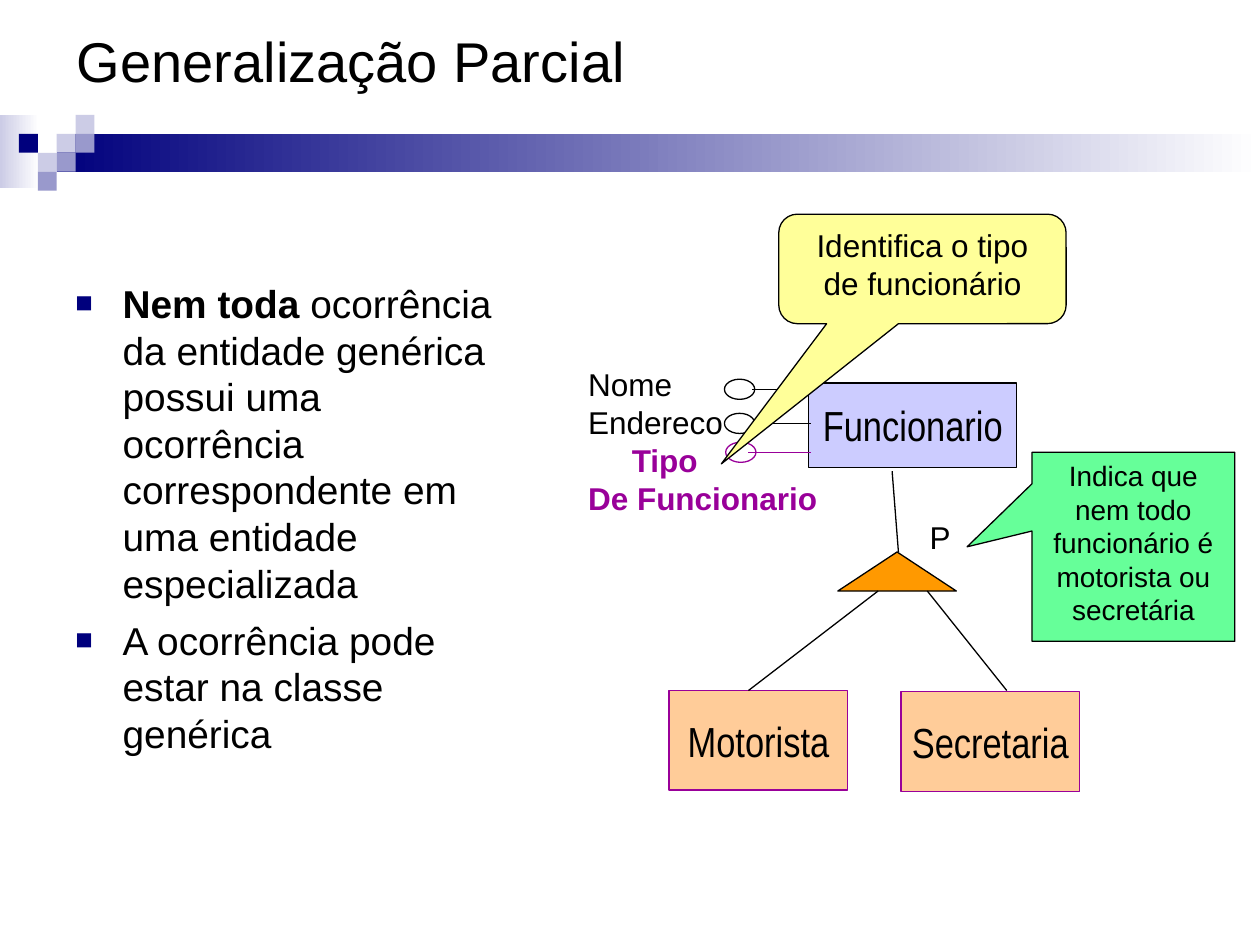
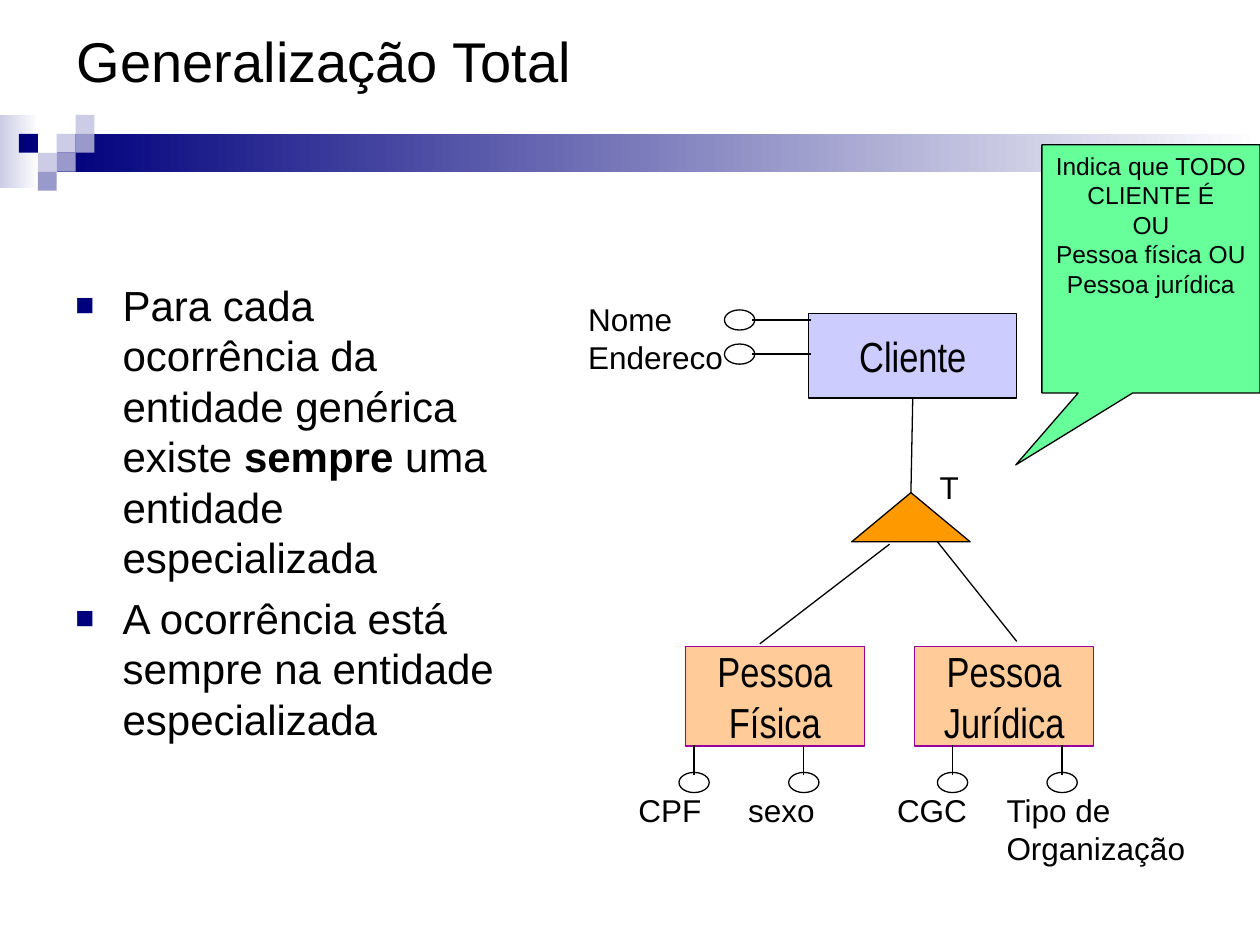
from dataclasses import dataclass
from typing import NamedTuple, Optional, Union

from lxml.etree import SubElement
from pptx import Presentation
from pptx.dml.color import RGBColor
from pptx.enum.shapes import MSO_CONNECTOR, MSO_SHAPE as Preset
from pptx.enum.text import MSO_ANCHOR as Anchor, PP_ALIGN as Align
from pptx.oxml.ns import qn
from pptx.util import Pt

BLACK = RGBColor(0x00, 0x00, 0x00)
WHITE = RGBColor(0xFF, 0xFF, 0xFF)
NAVY = RGBColor(0x00, 0x00, 0x7D)
MIST = RGBColor(0xCC, 0xCC, 0xE6)
PERIWINKLE = RGBColor(0x99, 0x99, 0xCC)
LAVENDER = RGBColor(0xCC, 0xCC, 0xFF)
PEACH = RGBColor(0xFF, 0xCC, 0x99)
ORANGE = RGBColor(0xFF, 0x99, 0x00)
GREEN = RGBColor(0x66, 0xFF, 0x99)
YELLOW = RGBColor(0xFF, 0xFF, 0x99)
PURPLE = RGBColor(0x99, 0x00, 0x99)

TEXT_FONT = "Arial"
ENTITY_FONT = "Arial Narrow"
TITLE_ONLY = 5
BULLET_INDENT = 27
OVAL_WIDTH, OVAL_HEIGHT = 17.3, 11.5
ENTITY_LEFT = 462.2
SQUARE = 10.8
SQUARES_TOP = 65.7


class Box(NamedTuple):
    left: float
    top: float
    width: float
    height: float


class Point(NamedTuple):
    x: float
    y: float


class Span(NamedTuple):
    text: str
    bold: bool = False
    color: RGBColor = BLACK


class Square(NamedTuple):
    column: int
    row: int
    color: RGBColor


Paragraph = Union[str, tuple[Span, ...]]


@dataclass(frozen=True)
class Callout:
    preset: Preset
    box: Box
    fill: RGBColor
    size: float
    paragraphs: list[Paragraph]
    adjustments: tuple[float, ...]


@dataclass(frozen=True)
class Subclass:
    left: float
    top: float
    paragraphs: list[Paragraph]


@dataclass(frozen=True)
class Attribute:
    oval_left: float
    label_width: float
    paragraphs: list[Paragraph]


SQUARES = [
    Square(3, 1, MIST), Square(4, 0, MIST), Square(4, 1, PERIWINKLE),
    Square(2, 2, MIST), Square(1, 1, NAVY), Square(3, 2, PERIWINKLE),
    Square(2, 3, PERIWINKLE),
]
TITLE_BOX = Box(36.7, 0, 648, 68.4)
BODY_BOX = Box(36, 156.2, 254.9, 306)


def emu(lengths) -> list[int]:
    return [Pt(length) for length in lengths]


def write(shape, paragraphs: list[Paragraph], *, size: float = 18, font: str = TEXT_FONT,
          align: Align = Align.LEFT, anchor: Anchor = Anchor.TOP, wrap: bool = True,
          before: float = 0, bulleted: bool = False) -> None:
    frame = shape.text_frame
    frame.word_wrap = wrap
    frame.vertical_anchor = anchor
    frame.margin_left = frame.margin_right = Pt(7.2)
    frame.margin_top = frame.margin_bottom = Pt(3.6)
    for index, content in enumerate(paragraphs):
        paragraph = frame.add_paragraph() if index else frame.paragraphs[0]
        paragraph.alignment = align
        paragraph.space_before = Pt(before)
        spans = (Span(content),) if isinstance(content, str) else content
        for span in spans:
            run = paragraph.add_run()
            run.text = span.text
            run.font.name = font
            run.font.size = Pt(size)
            run.font.bold = span.bold
            run.font.color.rgb = span.color
        if bulleted:
            add_bullet(paragraph)


def indent(paragraph, left: float, first: float = 0):
    properties = paragraph._p.get_or_add_pPr()
    properties.set("marL", str(Pt(left)))
    properties.set("indent", str(Pt(first)))
    return properties


def add_bullet(paragraph) -> None:
    properties = indent(paragraph, BULLET_INDENT, -BULLET_INDENT)
    color = SubElement(properties, qn("a:buClr"))
    SubElement(color, qn("a:srgbClr"), val=str(NAVY))
    SubElement(properties, qn("a:buSzPct"), val="75000")
    SubElement(properties, qn("a:buFont"), typeface=TEXT_FONT)
    SubElement(properties, qn("a:buChar"), char="■")


def draw(slide, preset: Preset, box: Box, fill: Optional[RGBColor] = None,
         outline: Optional[RGBColor] = BLACK):
    shape = slide.shapes.add_shape(preset, *emu(box))
    shape.shadow.inherit = False
    if fill is None:
        shape.fill.background()
    else:
        shape.fill.solid()
        shape.fill.fore_color.rgb = fill
    if outline is None:
        shape.line.fill.background()
    else:
        shape.line.color.rgb = outline
        shape.line.width = Pt(0.75)
    return shape


def draw_line(slide, start: Point, end: Point, color: RGBColor = BLACK):
    line = slide.shapes.add_connector(MSO_CONNECTOR.STRAIGHT, *emu(start + end))
    line.line.color.rgb = color
    line.line.width = Pt(0.75)
    SubElement(line._element.spPr, qn("a:effectLst"))
    return line


def draw_fade(slide, box: Box, color: RGBColor) -> None:
    band = draw(slide, Preset.RECTANGLE, box, WHITE, None)
    band.fill.gradient()
    band.fill.gradient_angle = 0
    for stop, shade in zip(band.fill.gradient_stops, (color, WHITE)):
        stop.color.rgb = shade


def draw_label(slide, box: Box, paragraphs: list[Paragraph]):
    label = slide.shapes.add_textbox(*emu(box))
    write(label, paragraphs)
    return label


def start_slide(deck, title: str, topics: list[Paragraph], size: float):
    slide = deck.slides.add_slide(deck.slide_layouts[TITLE_ONLY])
    draw_fade(slide, Box(0, SQUARES_TOP, 22.3, 41.8), MIST)
    draw_fade(slide, Box(3 * SQUARE, SQUARES_TOP + SQUARE, 687.6, 2 * SQUARE), NAVY)
    for square in SQUARES:
        corner = (square.column * SQUARE, SQUARES_TOP + square.row * SQUARE)
        draw(slide, Preset.RECTANGLE, Box(*corner, SQUARE, SQUARE), square.color, None)
    heading = slide.shapes.title
    heading.left, heading.top, heading.width, heading.height = emu(TITLE_BOX)
    write(heading, [title], size=32, anchor=Anchor.MIDDLE)
    body = slide.shapes.add_textbox(*emu(BODY_BOX))
    write(body, topics, size=size, before=6, bulleted=True)
    return slide


def draw_entity(slide, box: Box, paragraphs: list[Paragraph], fill: RGBColor,
                outline: RGBColor):
    entity = draw(slide, Preset.RECTANGLE, box, fill, outline)
    write(entity, paragraphs, size=24, font=ENTITY_FONT, align=Align.CENTER,
          anchor=Anchor.MIDDLE, wrap=False)
    return entity


def draw_superclass(slide, name: str, top: float):
    entity = draw_entity(slide, Box(ENTITY_LEFT, top, 118.8, 48.2), [name], LAVENDER, BLACK)
    for offset in (-2.2, 17.3):
        draw_side_attribute(slide, 414, top + offset, 430, BLACK)
    return entity


def draw_side_attribute(slide, left: float, top: float, line_start: float,
                        color: RGBColor) -> None:
    draw(slide, Preset.OVAL, Box(left, top, OVAL_WIDTH, OVAL_HEIGHT), None, color)
    middle = top + OVAL_HEIGHT / 2
    draw_line(slide, Point(line_start, middle), Point(ENTITY_LEFT + 1, middle), color)


def draw_subclass(slide, subclass: Subclass) -> None:
    box = Box(subclass.left, subclass.top, 102.2, 56.9)
    draw_entity(slide, box, subclass.paragraphs, PEACH, PURPLE)


def draw_bottom_attribute(slide, attribute: Attribute) -> None:
    left = attribute.oval_left
    draw(slide, Preset.OVAL, Box(left, 441.4, OVAL_WIDTH, OVAL_HEIGHT))
    middle = left + OVAL_WIDTH / 2
    draw_line(slide, Point(middle, 425.5), Point(middle, 442.8))
    height = 7.2 + 21.6 * len(attribute.paragraphs)
    draw_label(slide, Box(left - 30.2, 448.6, attribute.label_width, height),
               attribute.paragraphs)


def draw_callout(slide, callout: Callout) -> None:
    balloon = draw(slide, callout.preset, callout.box, callout.fill)
    for index, value in enumerate(callout.adjustments):
        balloon.adjustments[index] = value
    write(balloon, callout.paragraphs, size=callout.size, align=Align.CENTER)


def build_partial(deck) -> None:
    slide = start_slide(deck, "Generalização Parcial", [
        (Span("Nem toda", bold=True),
         Span(" ocorrência da entidade genérica possui uma ocorrência "
              "correspondente em uma entidade especializada")),
        "A ocorrência pode estar na classe genérica",
    ], 22.2)
    draw_superclass(slide, "Funcionario", 218.9)
    names = draw_label(slide, Box(329, 205.2, 152, 93.6), [
        "Nome", "Endereco", (Span("Tipo", True, PURPLE),),
        (Span("De Funcionario", True, PURPLE),),
    ])
    indent(names.text_frame.paragraphs[2], 25)
    draw(slide, Preset.ISOSCELES_TRIANGLE, Box(478.8, 315.4, 67.7, 22.3), ORANGE)
    draw_line(slide, Point(509.8, 269.3), Point(513.4, 315.4))
    draw_subclass(slide, Subclass(382.3, 394.6, ["Motorista"]))
    draw_subclass(slide, Subclass(514.8, 395.3, ["Secretaria"]))
    draw_side_attribute(slide, 414.7, 252.7, 427.7, PURPLE)
    draw_label(slide, Box(524.2, 292.3, 30, 28.8), ["P"])
    draw_callout(slide, Callout(
        Preset.RECTANGULAR_CALLOUT, Box(589.7, 258.5, 115.9, 108), GREEN, 16,
        ["Indica que nem todo funcionário é motorista ou secretária"], (-0.82, 0)))
    draw_callout(slide, Callout(
        Preset.ROUNDED_RECTANGULAR_CALLOUT, Box(445, 122.4, 164.2, 62.6), YELLOW, 18,
        ["Identifica o tipo de funcionário"], (-0.7, 1.78, 0.17)))
    draw_line(slide, Point(575.3, 394.6), Point(529.9, 337.7))
    draw_line(slide, Point(427.7, 394.6), Point(501.8, 337.7))


def build_total(deck) -> None:
    slide = start_slide(deck, "Generalização Total", [
        (Span("Para cada ocorrência da entidade genérica existe "),
         Span("sempre", bold=True), Span(" uma entidade especializada")),
        "A ocorrência está sempre na entidade especializada",
    ], 24)
    client = draw_superclass(slide, "Cliente", 179.3)
    draw_label(slide, Box(329, 167.8, 98, 50.4), ["Nome", "Endereco"])
    draw_callout(slide, Callout(
        Preset.RECTANGULAR_CALLOUT, Box(595.4, 82.8, 124.6, 141.8), GREEN, 14,
        ["Indica que TODO CLIENTE É", "OU", "Pessoa física OU Pessoa jurídica"],
        (-0.62, 0.79)))
    triangle = draw(slide, Preset.ISOSCELES_TRIANGLE, Box(486.7, 281.5, 67.7, 28.1), ORANGE)
    stem = draw_line(slide, Point(521.6, 227.5), Point(520.5, 281.5))
    stem.begin_connect(client, 2)
    stem.end_connect(triangle, 0)
    draw_subclass(slide, Subclass(391.7, 369.4, ["Pessoa", "Física"]))
    draw_subclass(slide, Subclass(522.7, 369.4, ["Pessoa", "Jurídica"]))
    for attribute in (
        Attribute(388, 56, ["CPF"]),
        Attribute(450.7, 58, ["sexo"]),
        Attribute(535.7, 60, ["CGC"]),
        Attribute(598.3, 124, ["Tipo de", "Organização"]),
    ):
        draw_bottom_attribute(slide, attribute)
    draw_label(slide, Box(529.9, 264.2, 30, 28.8), ["T"])
    draw_line(slide, Point(581, 366.5), Point(535.7, 309.6))
    draw_line(slide, Point(434.2, 367.9), Point(508.3, 311))


def main() -> None:
    deck = Presentation()
    deck.slide_width, deck.slide_height = Pt(720), Pt(540)
    build_partial(deck)
    build_total(deck)
    deck.save("out.pptx")


if __name__ == "__main__":
    main()
